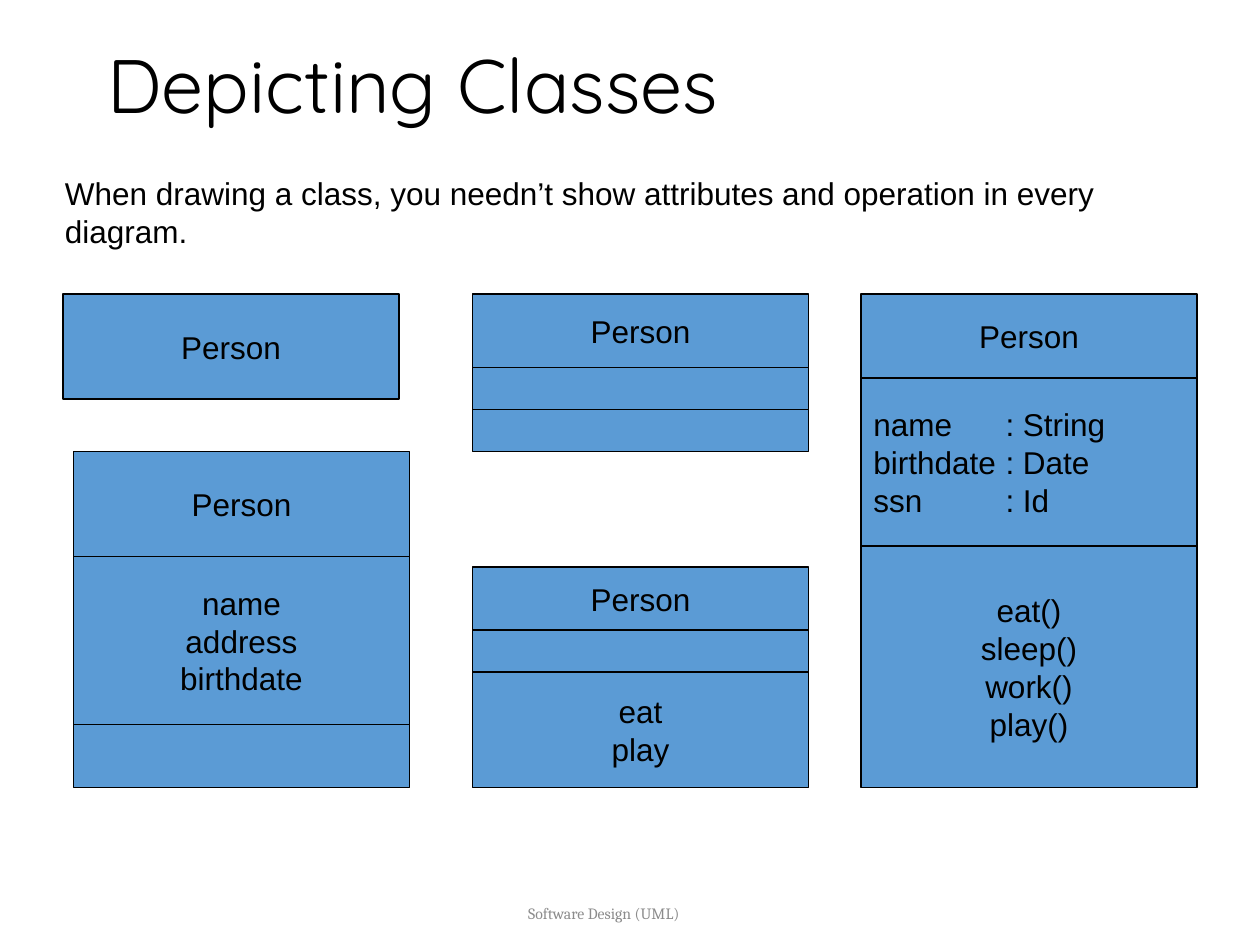
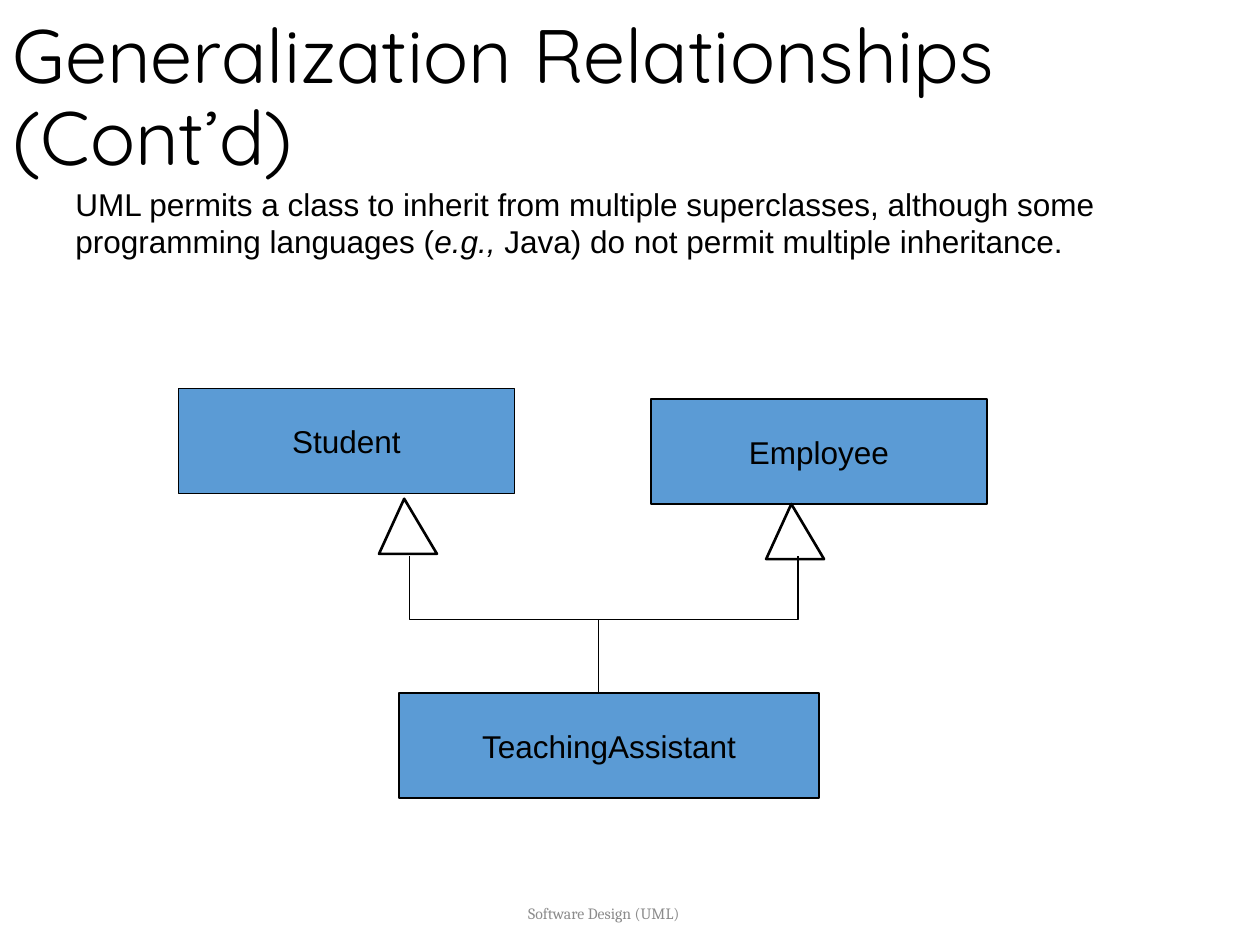
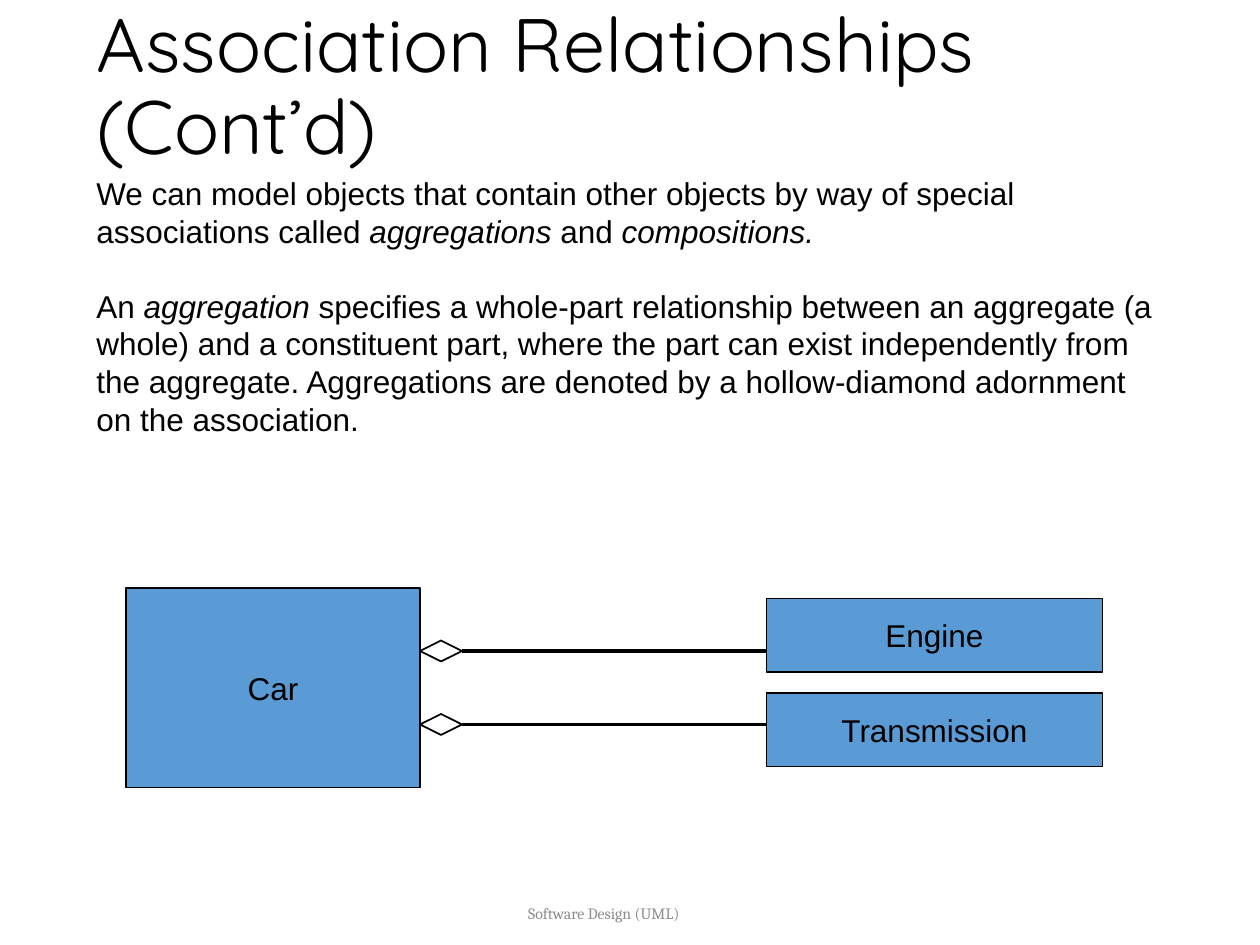
from lxml import etree
from pptx import Presentation
from pptx.dml.color import RGBColor
from pptx.enum import shapes, text
from pptx.oxml import ns
from pptx.util import Pt

COLORS = {"ink": "000000", "class": "5B9BD5", "paper": "FFFFFF", "footer": "8C8C8C"}
BODY_FONT, TITLE_FONT, FOOTER_FONT = "Arial", "Quicksand", "Cambria"
BODY_SIZE = 18
CLASS_WIDTH = 192
TITLE_HEIGHT = 42
TYPE_TAB = 75.5
LINE_GAP = 21


def rgb(name):
    return RGBColor.from_string(COLORS[name])


def style_font(font, size=BODY_SIZE, name=BODY_FONT, color="ink"):
    font.size = Pt(size)
    font.name = name
    font.color.rgb = rgb(color)


def style_shape(shape, fill, weight):
    shape.shadow.inherit = False
    if fill:
        shape.fill.solid()
        shape.fill.fore_color.rgb = rgb(fill)
    else:
        shape.fill.background()
    shape.line.color.rgb = rgb("ink")
    shape.line.width = Pt(weight)


def add_titled_slide(presentation, title, left, top, width):
    slide = presentation.slides.add_slide(presentation.slide_layouts[5])
    add_footer(slide)
    shape = slide.shapes.title
    shape.left, shape.top, shape.width, shape.height = map(Pt, (left, top, width, TITLE_HEIGHT))
    frame = shape.text_frame
    frame.text = title
    frame.word_wrap = True
    frame.auto_size = text.MSO_AUTO_SIZE.NONE
    frame.vertical_anchor = text.MSO_ANCHOR.MIDDLE
    paragraph = frame.paragraphs[0]
    paragraph.alignment = text.PP_ALIGN.LEFT
    paragraph.line_spacing = 0.9
    style_font(paragraph.runs[0].font, 43.2, TITLE_FONT)
    return slide


def add_text_box(slide, left, top, width, height):
    frame = slide.shapes.add_textbox(*map(Pt, (left, top, width, height))).text_frame
    frame.word_wrap = True
    return frame


def add_footer(slide):
    frame = add_text_box(slide, 186, 504, 318, 36)
    frame.vertical_anchor = text.MSO_ANCHOR.MIDDLE
    frame.text = "Software Design (UML)"
    paragraph = frame.paragraphs[0]
    paragraph.alignment = text.PP_ALIGN.CENTER
    style_font(paragraph.runs[0].font, 9, FOOTER_FONT, "footer")


def add_body(slide, left, top, width, height, paragraphs):
    """Each paragraph is a list of strings; every second one is italic."""
    frame = add_text_box(slide, left, top, width, height)
    for number, pieces in enumerate(paragraphs):
        paragraph = frame.add_paragraph() if number else frame.paragraphs[0]
        if number:
            paragraph.space_before = Pt(LINE_GAP)
        for index, piece in enumerate(pieces):
            run = paragraph.add_run()
            run.text = piece
            style_font(run.font)
            run.font.italic = index % 2 == 1


def add_type_tab(paragraph):
    tabs = etree.SubElement(paragraph._p.get_or_add_pPr(), ns.qn("a:tabLst"))
    etree.SubElement(tabs, ns.qn("a:tab"), pos=str(Pt(TYPE_TAB)), algn="l")


def add_box(slide, left, top, width, height, lines=()):
    """Class compartment; lines that hold a tab are aligned left."""
    shape = slide.shapes.add_shape(shapes.MSO_SHAPE.RECTANGLE, *map(Pt, (left, top, width, height)))
    style_shape(shape, "class", 0.75)
    frame = shape.text_frame
    frame.vertical_anchor = text.MSO_ANCHOR.MIDDLE
    frame.text = "\n".join(lines)
    for paragraph in frame.paragraphs:
        paragraph.alignment = text.PP_ALIGN.CENTER
        if "\t" in paragraph.text:
            paragraph.alignment = text.PP_ALIGN.LEFT
            add_type_tab(paragraph)
        for run in paragraph.runs:
            style_font(run.font)


def add_class(slide, left, top, compartments):
    """Stack (height, lines) compartments downwards from the top."""
    for height, lines in compartments:
        add_box(slide, left, top, CLASS_WIDTH, height, lines)
        top += height


def add_line(slide, start, end, weight):
    line = slide.shapes.add_connector(shapes.MSO_CONNECTOR.STRAIGHT, *map(Pt, start + end))
    line.line.color.rgb = rgb("ink")
    line.line.width = Pt(weight)
    etree.SubElement(line._element.spPr, ns.qn("a:effectLst"))


def add_outline(slide, points, weight, fill=None):
    """Draw a polyline, closed when it has a fill."""
    corners = [(Pt(x), Pt(y)) for x, y in points]
    builder = slide.shapes.build_freeform(*corners[0])
    builder.add_line_segments(corners[1:], close=fill is not None)
    style_shape(builder.convert_to_shape(), fill, weight)


def add_generalization_head(slide, x, y):
    add_outline(slide, [(x, y), (x - 14.4, y + 31.5), (x + 18.7, y + 31.5)], 1.5, "paper")


def add_aggregation(slide, left, right, y):
    add_line(slide, (left + 24, y), (right, y), 2.25)
    diamond = [(left, y), (left + 12, y - 6), (left + 24, y), (left + 12, y + 6)]
    add_outline(slide, diamond, 1, "paper")


def build_classes(presentation):
    slide = add_titled_slide(presentation, "Depicting Classes", 54, 30, 618)
    add_body(slide, 30, 96, 657, 65, [[
        "When drawing a class, you needn’t show attributes and operation in every diagram."]])
    person = ["Person"]
    add_class(slide, 492, 168, [
        (48, person),
        (96, ["name\t: String", "birthdate\t: Date", "ssn\t: Id"]),
        (138, ["eat()", "sleep()", "work()", "play()"])])
    add_class(slide, 36, 168, [(60, person)])
    add_class(slide, 42, 258, [(60, person), (96, ["name", "address", "birthdate"]), (36, [])])
    add_class(slide, 270, 324, [(36, person), (24, []), (66, ["eat", "play"])])
    add_class(slide, 270, 168, [(42, person), (24, []), (24, [])])


def build_generalization(presentation):
    slide = add_titled_slide(presentation, "Generalization Relationships (Cont’d)", 0, 36, 732)
    add_body(slide, 36, 102, 642, 94, [[
        "UML permits a class to inherit from multiple superclasses, although some "
        "programming languages (", "e.g.,", " Java) do not permit multiple inheritance."]])
    add_box(slide, 102, 222, CLASS_WIDTH, 60, ["Student"])
    add_box(slide, 372, 228, CLASS_WIDTH, 60, ["Employee"])
    add_box(slide, 228, 396, 240, 60, ["TeachingAssistant"])
    add_line(slide, (342, 354), (342, 396), 1)
    add_generalization_head(slide, 231, 285)
    add_generalization_head(slide, 452.2, 288)
    add_outline(slide, [(234, 318), (234, 354), (456, 354), (456, 318)], 1)


def build_association(presentation):
    slide = add_titled_slide(presentation, "Association Relationships (Cont’d)", 48, 30, 636)
    add_body(slide, 48, 96, 618, 209, [
        ["We can model objects that contain other objects by way of special associations called ",
         "aggregations", " and ", "compositions."],
        ["An ", "aggregation",
         " specifies a whole-part relationship between an aggregate (a whole) and a constituent "
         "part, where the part can exist independently from the aggregate. Aggregations are "
         "denoted by a hollow-diamond adornment on the association."]])
    add_box(slide, 72, 336, 168, 114, ["Car"])
    for part, top, joint in (("Engine", 342, 372), ("Transmission", 396, 414)):
        add_box(slide, 438, top, CLASS_WIDTH, 42, [part])
        add_aggregation(slide, 240, 438, joint)


def main():
    presentation = Presentation()
    presentation.slide_width, presentation.slide_height = Pt(720), Pt(540)
    build_classes(presentation)
    build_generalization(presentation)
    build_association(presentation)
    presentation.save("out.pptx")


if __name__ == "__main__":
    main()
